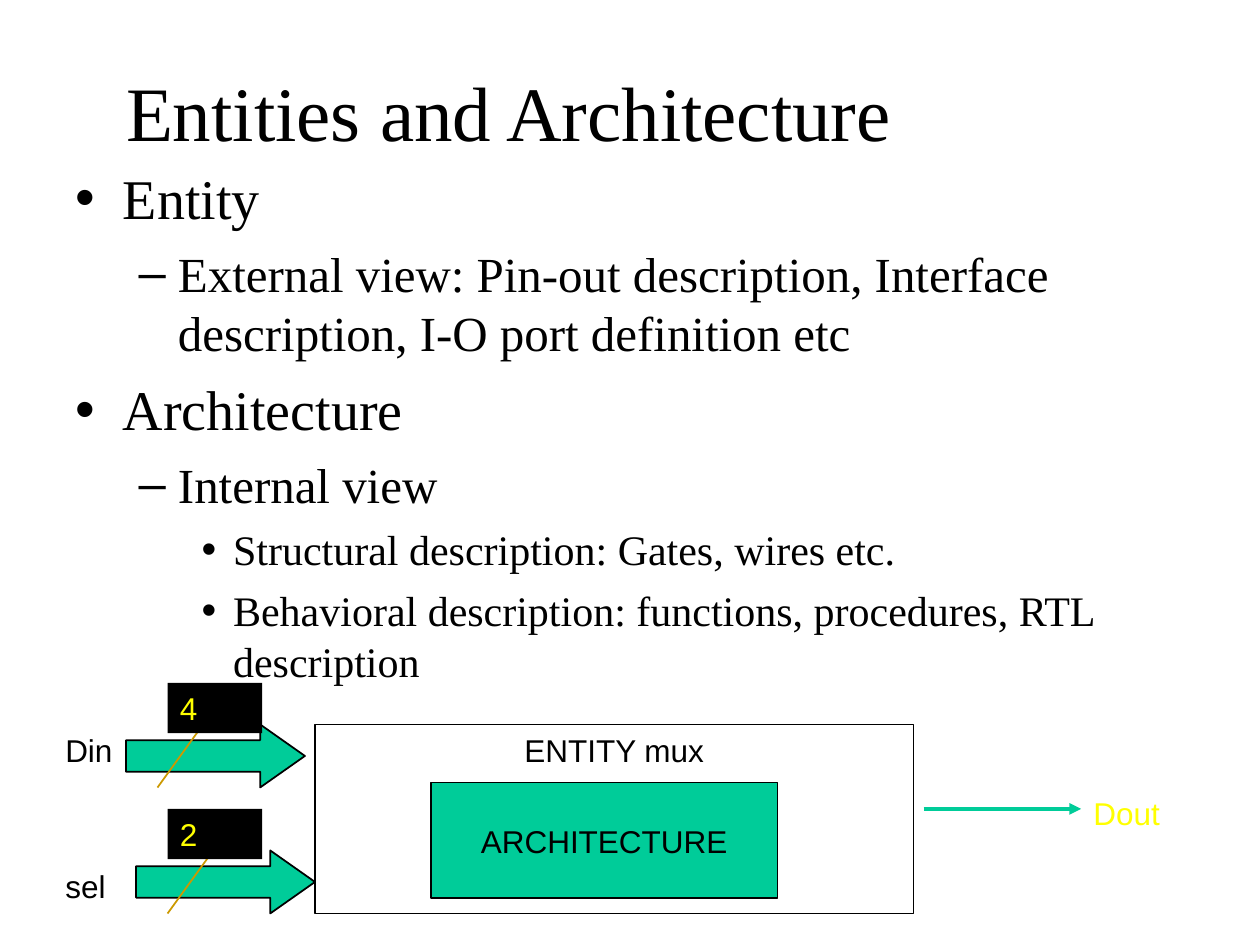
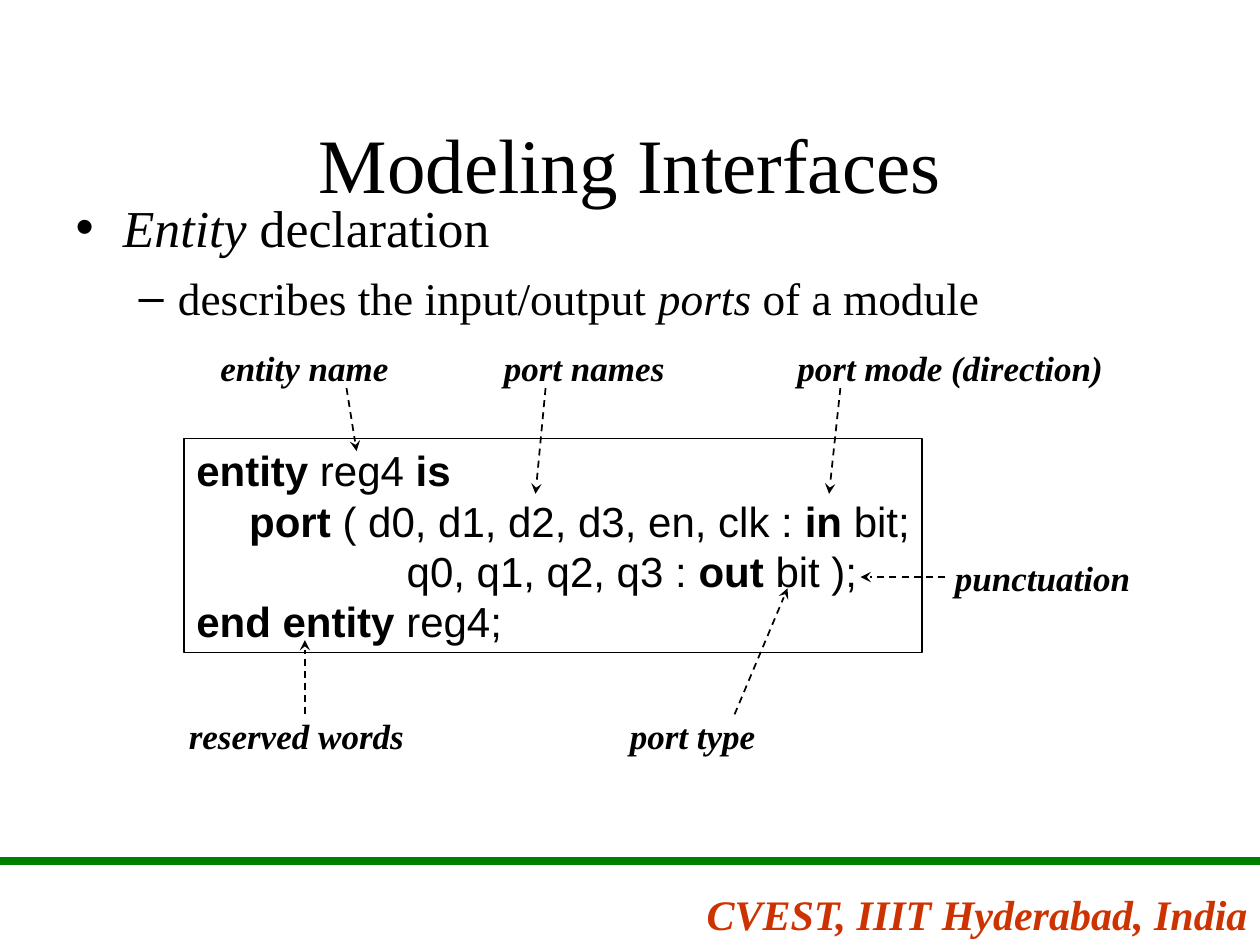
from dataclasses import dataclass

from lxml import etree
from pptx import Presentation
from pptx import util as u
from pptx.dml.color import RGBColor
from pptx.enum import dml, shapes, text
from pptx.oxml.ns import qn


@dataclass(frozen=True)
class Theme:
    serif: str = "Times New Roman"
    sans: str = "Arial"
    black: str = "000000"
    white: str = "FFFFFF"
    teal: str = "00CC99"
    gold: str = "CC9900"
    yellow: str = "FFFF00"
    green: str = "008000"
    red: str = "CC3300"
    title_size: float = 44
    body_sizes: tuple = (32, 28, 24)
    body_gaps: tuple = (8, 7, 6)
    code_size: float = 24
    footer_size: float = 24
    callout_size: float = 20
    label_size: float = 18


THEME = Theme()
LEFT, CENTER, RIGHT = text.PP_ALIGN.LEFT, text.PP_ALIGN.CENTER, text.PP_ALIGN.RIGHT
TOP, MIDDLE = text.MSO_ANCHOR.TOP, text.MSO_ANCHOR.MIDDLE


# Text
def write(para, words, *, size, font=THEME.serif, color=THEME.black,
          bold=False, italic=False, emphasis=None, align=None):
    """Fill a paragraph; *starred* words get the emphasis ("bold" or "italic")."""
    if align is not None:
        para.alignment = align
    for number, piece in enumerate(words.split("*") if emphasis else [words]):
        if not piece:
            continue
        span = para.add_run()
        span.text = piece
        span.font.name, span.font.size = font, u.Pt(size)
        span.font.color.rgb = RGBColor.from_string(color)
        starred = number % 2 == 1
        span.font.bold = bold or (starred and emphasis == "bold")
        span.font.italic = italic or (starred and emphasis == "italic")


def next_para(frame, index):
    return frame.add_paragraph() if index else frame.paragraphs[0]


def set_frame(frame, *, wrap=True, anchor=TOP, grow=False):
    frame.word_wrap = wrap
    frame.vertical_anchor = anchor
    frame.auto_size = (text.MSO_AUTO_SIZE.SHAPE_TO_FIT_TEXT if grow
                       else text.MSO_AUTO_SIZE.NONE)


def place(shape, left, top, width, height):
    shape.left, shape.top = u.Inches(left), u.Inches(top)
    shape.width, shape.height = u.Inches(width), u.Inches(height)


def add_text(slide, words, left, top, width, height, *, wrap=True, **style):
    box = slide.shapes.add_textbox(*map(u.Inches, (left, top, width, height)))
    set_frame(box.text_frame, wrap=wrap, grow=True)
    write(box.text_frame.paragraphs[0], words, **style)


# Placeholders
def add_page(deck, title, title_top, align=CENTER, margin=0.1):
    page = deck.slides.add_slide(deck.slide_layouts[1])
    place(page.shapes.title, 0.75, title_top, 8.5, 1.25)
    frame = page.shapes.title.text_frame
    set_frame(frame, anchor=MIDDLE)
    frame.margin_left = u.Inches(margin)
    write(frame.paragraphs[0], title, size=THEME.title_size, align=align)
    return page


def fill_body(page, top, height, items, scale=1):
    body = page.placeholders[1]
    place(body, 0.5, top, 9, height)
    set_frame(body.text_frame)
    for index, (level, words) in enumerate(items):
        para = next_para(body.text_frame, index)
        para.level = level
        para.space_before = u.Pt(THEME.body_gaps[level] if index else 0)
        write(para, words, size=round(THEME.body_sizes[level] * scale, 1),
              emphasis="italic")


# Shapes and lines
def add_block(slide, kind, left, top, width, height, fill=None, line=THEME.black):
    block = slide.shapes.add_shape(kind, *map(u.Inches, (left, top, width, height)))
    block.shadow.inherit = False
    if fill:
        block.fill.solid()
        block.fill.fore_color.rgb = RGBColor.from_string(fill)
    else:
        block.fill.background()
    if line:
        block.line.color.rgb = RGBColor.from_string(line)
        block.line.width = u.Pt(1)
    else:
        block.line.fill.background()
    return block


def add_rect(slide, *bounds, **colors):
    return add_block(slide, shapes.MSO_SHAPE.RECTANGLE, *bounds, **colors)


def add_line(slide, start, end, color=THEME.black, width=1, dashed=False, head=None):
    line = slide.shapes.add_connector(
        shapes.MSO_CONNECTOR.STRAIGHT, *map(u.Inches, (*start, *end)))
    line.line.color.rgb = RGBColor.from_string(color)
    line.line.width = u.Pt(width)
    if dashed:
        line.line.dash_style = dml.MSO_LINE.DASH
    outline = line.get_or_add_ln()
    if head:
        etree.SubElement(outline, qn("a:tailEnd"), type=head)
    etree.SubElement(outline.getparent(), qn("a:effectLst"))


# Diagram parts
def add_named_block(slide, name, *bounds, fill, anchor=TOP):
    block = add_rect(slide, *bounds, fill=fill)
    set_frame(block.text_frame, wrap=False, anchor=anchor)
    write(block.text_frame.paragraphs[0], name, size=THEME.label_size,
          font=THEME.sans, align=CENTER)


def add_port_label(slide, name, left, top, color=THEME.black):
    add_text(slide, name, left, top, 1, 0.4, size=THEME.label_size,
             font=THEME.sans, color=color)


def add_bus(slide, bits, left, top):
    """Block arrow with a slash and its bit count."""
    arrow = add_block(slide, shapes.MSO_SHAPE.RIGHT_ARROW, left, top, 1.42, 0.5,
                      fill=THEME.teal)
    arrow.adjustments[0], arrow.adjustments[1] = 0.5, 0.71
    add_line(slide, (left + 0.67, top - 0.08), (left + 0.25, top + 0.5), THEME.gold)
    count = add_rect(slide, 1.33, top - 0.33, 0.75, 0.4, fill=THEME.black, line=None)
    set_frame(count.text_frame, grow=True)
    write(count.text_frame.paragraphs[0], bits, size=THEME.label_size,
          font=THEME.sans, color=THEME.yellow, align=LEFT)


def add_code(slide, left, top, width, height, lines):
    box = add_rect(slide, left, top, width, height)
    set_frame(box.text_frame, wrap=False, grow=True)
    for index, (indent, words) in enumerate(lines):
        para = next_para(box.text_frame, index)
        para._p.get_or_add_pPr().set("marL", str(u.Inches(indent)))
        write(para, words, size=THEME.code_size, font=THEME.sans,
              emphasis="bold", align=LEFT)


def add_callout(slide, words, left, top, width, start, end):
    add_text(slide, words, left, top, width, 0.43, wrap=False,
             size=THEME.callout_size, bold=True, italic=True)
    add_line(slide, start, end, dashed=True, head="stealth")


def add_footer(slide):
    add_line(slide, (0, 6.83), (10, 6.83), THEME.green, 4.5)
    add_text(slide, "CVEST, IIIT Hyderabad, India", 3.58, 7, 6.42, 0.5,
             size=THEME.footer_size, color=THEME.red, bold=True, italic=True,
             align=RIGHT)


# Slides
def build_architecture(deck):
    page = add_page(deck, "Entities and Architecture", 0.25, LEFT, 0.25)
    fill_body(page, 1.25, 4.95, [
        (0, "Entity"),
        (1, "External view: Pin-out description, Interface description, "
            "I-O port definition etc"),
        (0, "Architecture"),
        (1, "Internal view"),
        (2, "Structural description: Gates, wires etc."),
        (2, "Behavioral description: functions, procedures, RTL description"),
    ])
    add_named_block(page, "ENTITY mux", 2.5, 5.75, 4.75, 1.5, fill=THEME.white)
    add_named_block(page, "ARCHITECTURE", 3.42, 6.21, 2.75, 0.92,
                    fill=THEME.teal, anchor=MIDDLE)
    add_bus(page, "4", 1, 5.75)
    add_bus(page, "2", 1.08, 6.75)
    add_line(page, (7.33, 6.42), (8.58, 6.42), THEME.teal, 2.25, head="triangle")
    add_port_label(page, "Din", 0.42, 5.75)
    add_port_label(page, "sel", 0.42, 6.83)
    add_port_label(page, "Dout", 8.58, 6.25, THEME.yellow)


def build_interfaces(deck):
    page = add_page(deck, "Modeling Interfaces", 0.67)
    fill_body(page, 1.5, 1.17, [
        (0, "*Entity* declaration"),
        (1, "describes the input/output *ports* of a module"),
    ], scale=0.925)
    add_code(page, 1.46, 3.48, 5.86, 1.7, [
        (0, "*entity* reg4 *is*"),
        (0.42, "*port* ( d0, d1, d2, d3, en, clk : *in* bit;"),
        (1.67, "q0, q1, q2, q3 : *out* bit );"),
        (0, "*end entity* reg4;"),
    ])
    above, below = 2.7, 5.62
    for callout in [
        ("entity name", 1.65, above, 1.54, (2.75, 3.08), (2.83, 3.58)),
        ("port names", 3.9, above, 1.48, (4.33, 3.08), (4.25, 3.92)),
        ("port mode (direction)", 6.23, above, 2.63, (6.67, 3.08), (6.58, 3.92)),
        ("port type", 4.9, below, 1.2, (5.83, 5.67), (6.25, 4.67)),
        ("reserved words", 1.4, below, 1.91, (2.42, 5.67), (2.42, 5.08)),
        ("punctuation", 7.48, 4.37, 1.59, (7.5, 4.58), (6.83, 4.58)),
    ]:
        add_callout(page, *callout)
    add_footer(page)


def main():
    deck = Presentation()
    deck.slide_width, deck.slide_height = u.Inches(10), u.Inches(7.5)
    build_architecture(deck)
    build_interfaces(deck)
    deck.save("out.pptx")


if __name__ == "__main__":
    main()
